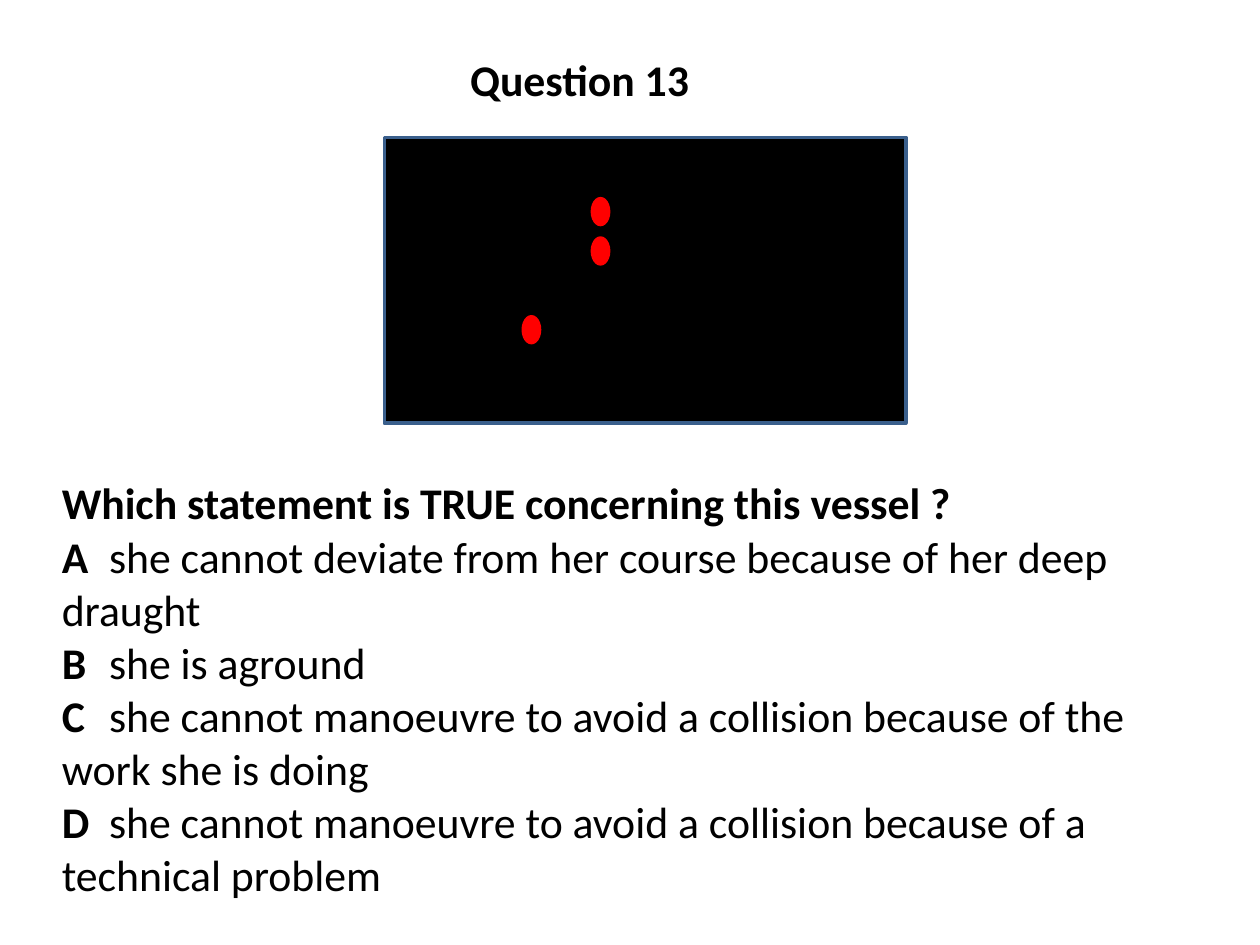
from lxml import etree
from dataclasses import dataclass
from pptx import Presentation
from pptx import util as u
from pptx.dml.color import RGBColor
from pptx.enum import shapes, text
from pptx.oxml.ns import qn


@dataclass
class Theme:
    font: str = "Calibri"
    size: float = 25
    pitch: float = 30.3
    tab: float = 27
    ink: str = "000000"
    night: str = "000000"
    edge: str = "3A5F8C"
    lamp: str = "FF0000"


class Deck:
    def __init__(self, theme):
        self.theme = theme
        self.show = Presentation()
        self.show.slide_width = u.Pt(720)
        self.show.slide_height = u.Pt(540)
        self.slide = self.show.slides.add_slide(self.show.slide_layouts[5])

    def place(self, item, box):
        for name, val in zip(("left", "top", "width", "height"), box):
            setattr(item, name, u.Pt(val))

    def frame(self, item):
        frame = item.text_frame
        style = {
            "word_wrap": True,
            "auto_size": text.MSO_AUTO_SIZE.NONE,
            "vertical_anchor": text.MSO_ANCHOR.TOP,
            "margin_left": 0,
            "margin_right": 0,
            "margin_top": 0,
            "margin_bottom": 0,
        }
        for name, val in style.items():
            setattr(frame, name, val)
        return frame

    def label(self, para, words, bold):
        style = {
            "alignment": text.PP_ALIGN.LEFT,
            "line_spacing": u.Pt(self.theme.pitch),
            "space_before": u.Pt(0),
        }
        for name, val in style.items():
            setattr(para, name, val)
        run = para.add_run()
        run.text = words
        face = {"name": self.theme.font, "size": u.Pt(self.theme.size), "bold": bold}
        for name, val in face.items():
            setattr(run.font, name, val)
        run.font.color.rgb = RGBColor.from_string(self.theme.ink)

    def title(self, words, box):
        item = self.slide.shapes.title
        self.place(item, box)
        self.label(self.frame(item).paragraphs[0], words, True)

    def quiz(self, ask, picks, box):
        item = self.slide.shapes.add_textbox(*map(u.Pt, box))
        frame = self.frame(item)
        self.label(frame.paragraphs[0], ask, True)
        for mark, words in picks.items():
            para = frame.add_paragraph()
            self.label(para, mark, True)
            self.label(para, "\t" + words, False)
            tabs = etree.SubElement(para._p.get_or_add_pPr(), qn("a:tabLst"))
            stop = etree.SubElement(tabs, qn("a:tab"))
            stop.set("pos", str(u.Pt(self.theme.tab)))
            stop.set("algn", "l")

    def shape(self, kind, box, fill, line=None):
        item = self.slide.shapes.add_shape(kind, *map(u.Pt, box))
        item.shadow.inherit = False
        item.fill.solid()
        item.fill.fore_color.rgb = RGBColor.from_string(fill)
        if line:
            item.line.color.rgb = RGBColor.from_string(line)
            item.line.width = u.Pt(2)
        else:
            item.line.fill.background()


def main():
    theme = Theme()
    deck = Deck(theme)
    deck.title("Question 13", (268.6, 30, 300, 32))
    deck.quiz(
        "Which statement is TRUE concerning this vessel ?",
        {
            "A": "she cannot deviate from her course because of her deep draught",
            "B": "she is aground",
            "C": "she cannot manoeuvre to avoid a collision because of the work she is doing",
            "D": "she cannot manoeuvre to avoid a collision because of a technical problem",
        },
        (35.3, 271.8, 655, 243),
    )
    kind = shapes.MSO_SHAPE
    deck.shape(kind.RECTANGLE, (219.6, 78.5, 298, 163.4), theme.night, theme.edge)
    for left, top in ((337.5, 112.5), (337.5, 135), (298, 180)):
        deck.shape(kind.OVAL, (left, top, 11.3, 16.8), theme.lamp)
    deck.show.save("out.pptx")


if __name__ == "__main__":
    main()
